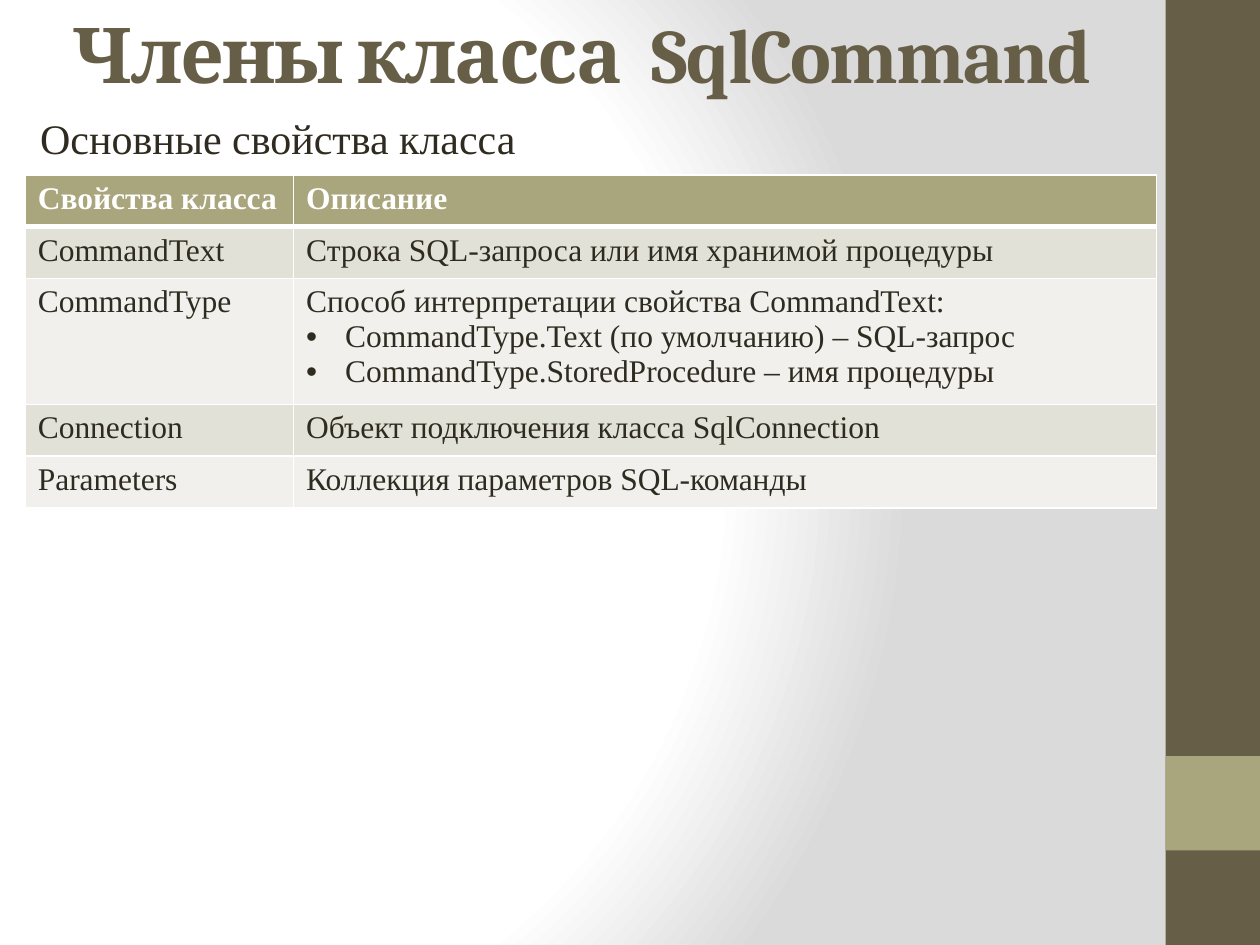
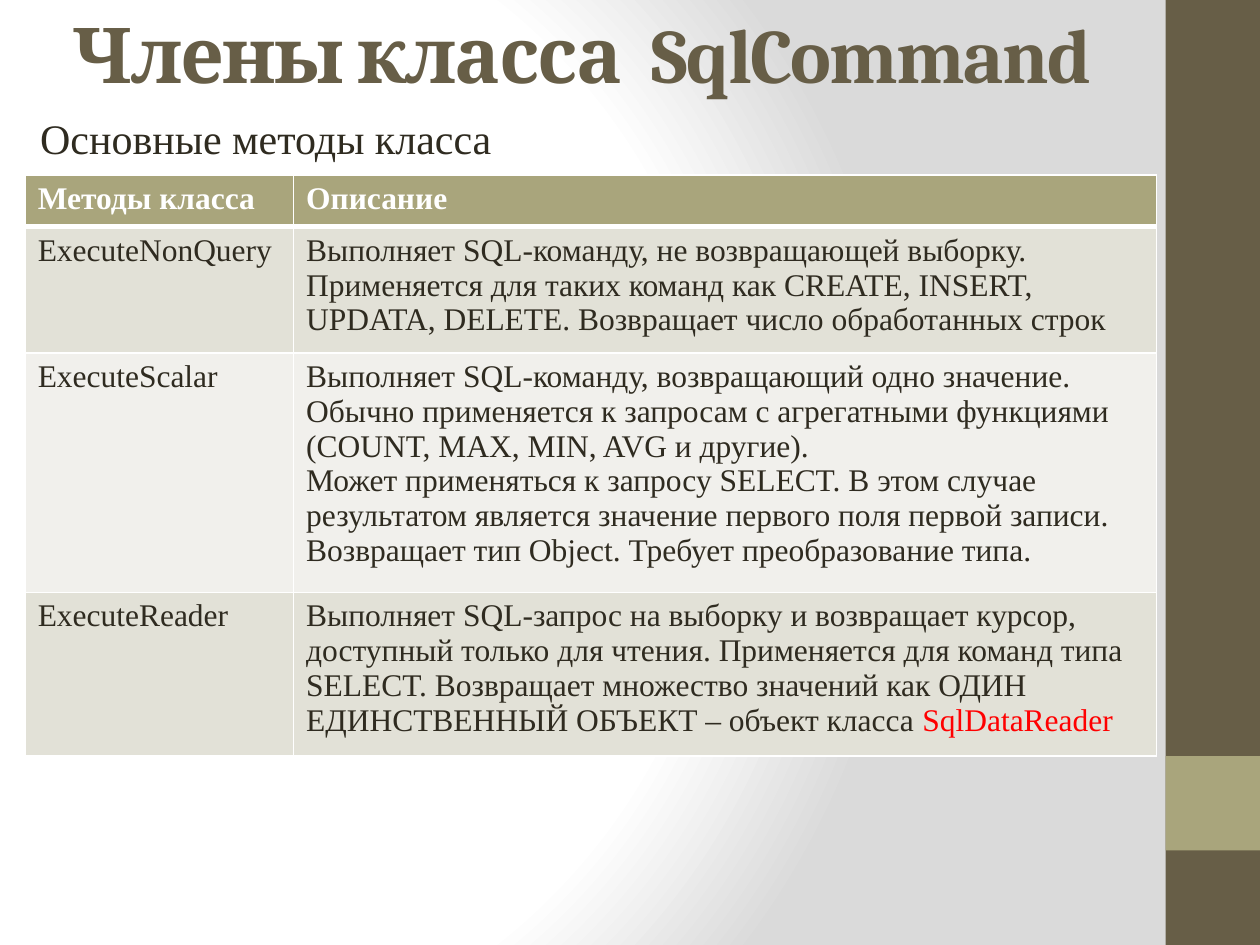
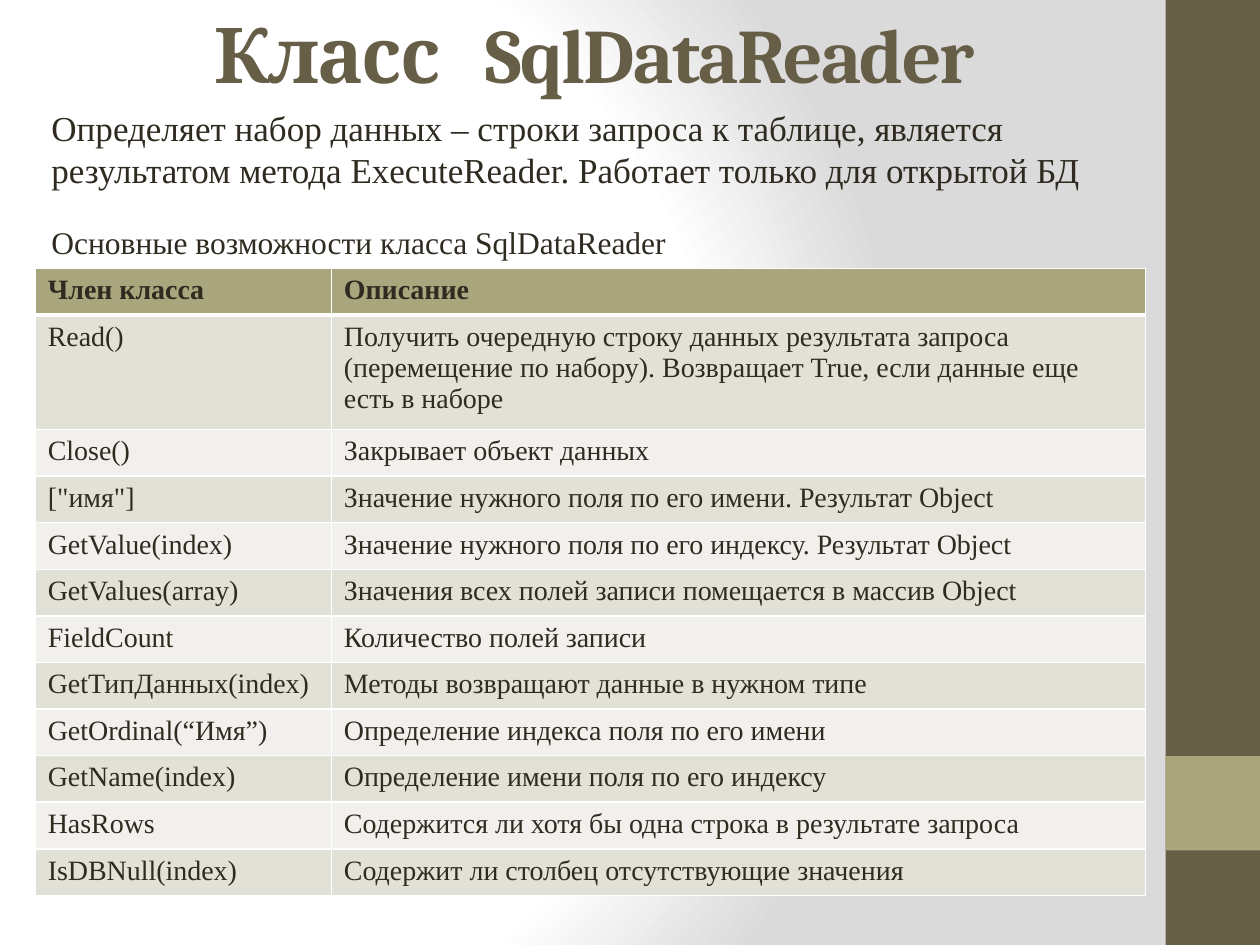
from lxml import etree
from pptx import Presentation
from pptx.dml.color import RGBColor
from pptx.enum.shapes import MSO_SHAPE
from pptx.enum.text import MSO_ANCHOR, MSO_AUTO_SIZE, PP_ALIGN
from pptx.oxml import parse_xml
from pptx.oxml.ns import nsdecls, qn
from pptx.util import Inches, Pt

COLORS = {
    "brown": "675E47", "olive": "A9A57C", "ink": "2F2B20", "white": "FFFFFF",
    "gray": "DADADA", "band_dark": "E2E1D7", "band_light": "F1F0EC", "red": "FF0000",
}
TITLE_FONT, BODY_FONT = "Cambria", "Times New Roman"
BULLET = "• "

# Content: a cell is a string or a list of paragraphs;
# a paragraph is a string or a (plain, highlighted) pair.
PROPERTIES = [
    ("Свойства класса", "Описание"),
    ("CommandText", "Строка SQL-запроса или имя хранимой процедуры"),
    ("CommandType", [
        "Способ интерпретации свойства CommandText:",
        "• CommandType.Text (по умолчанию) – SQL-запрос",
        "• CommandType.StoredProcedure – имя процедуры",
    ]),
    ("Connection", "Объект подключения класса SqlConnection"),
    ("Parameters", "Коллекция параметров SQL-команды"),
]
METHODS = [
    ("Методы класса", "Описание"),
    ("ExecuteNonQuery",
     "Выполняет SQL-команду, не возвращающей выборку. Применяется для таких команд "
     "как CREATE, INSERT, UPDATA, DELETE. Возвращает число обработанных строк"),
    ("ExecuteScalar", [
        "Выполняет SQL-команду, возвращающий одно значение. Обычно применяется к "
        "запросам с агрегатными функциями (COUNT, MAX, MIN, AVG и другие).",
        "Может применяться к запросу SELECT. В этом случае результатом является "
        "значение первого поля первой записи.",
        "Возвращает тип Object. Требует преобразование типа.",
    ]),
    ("ExecuteReader", [(
        "Выполняет SQL-запрос на выборку и возвращает курсор, доступный только для "
        "чтения. Применяется для команд типа SELECT. Возвращает множество значений "
        "как ОДИН ЕДИНСТВЕННЫЙ ОБЪЕКТ – объект класса ", "SqlDataReader")]),
]
READER_MEMBERS = [
    ("Член класса", "Описание"),
    ("Read()",
     "Получить очередную строку данных результата запроса (перемещение по набору). "
     "Возвращает True, если данные еще есть в наборе"),
    ("Close()", "Закрывает объект данных"),
    ('["имя"]', "Значение нужного поля по его имени. Результат Object"),
    ("GetValue(index)", "Значение нужного поля по его индексу. Результат Object"),
    ("GetValues(array)", "Значения всех полей записи помещается в массив Object"),
    ("FieldCount", "Количество полей записи"),
    ("GetТипДанных(index)", "Методы возвращают данные в нужном типе"),
    ("GetOrdinal(“Имя”)", "Определение индекса поля по его имени"),
    ("GetName(index)", "Определение имени поля по его индексу"),
    ("HasRows", "Содержится ли хотя бы одна строка в результате запроса"),
    ("IsDBNull(index)", "Содержит ли столбец отсутствующие значения"),
]

# Each text is (wording, size, box); boxes are left, top, width, height
COMMAND_TITLE = ("Члены класса  SqlCommand", (0.12, 0, 9, 0.84))
COMMAND_CAPTION_BOX = (0.22, 0.84, 7.98, 0.5)
COMMAND_TABLE = {"at": (0.2, 1.39), "cols": (2.13, 6.85), "row": 0.41,
                 "size": 18, "header": "white"}
SLIDES = [
    {"title": COMMAND_TITLE,
     "texts": [("Основные свойства класса", 24, COMMAND_CAPTION_BOX)],
     "table": {**COMMAND_TABLE, "rows": PROPERTIES, "tall": {2: 1}}},
    {"title": COMMAND_TITLE,
     "texts": [("Основные методы класса", 24, COMMAND_CAPTION_BOX)],
     "table": {**COMMAND_TABLE, "rows": METHODS, "tall": {1: 1, 2: 1.9, 3: 1.3}}},
    {"title": ("Класс   SqlDataReader", (0.35, 0, 8.74, 0.84)),
     "texts": [
         ("Определяет набор данных – строки запроса к таблице, является результатом "
          "метода ExecuteReader. Работает только для открытой БД",
          20, (0.31, 0.8, 8.79, 0.77)),
         ("Основные возможности класса SqlDataReader", 18, (0.31, 1.72, 7.98, 0.4))],
     "table": {"at": (0.28, 2.13), "cols": (2.35, 6.46), "row": 0.37, "size": 16,
               "header": "ink", "rows": READER_MEMBERS, "tall": {1: 0.91}}},
]


def rgb(name):
    return RGBColor.from_string(COLORS[name])


def style_run(run, size, color, font=BODY_FONT, bold=False):
    run.font.name, run.font.size, run.font.bold = font, Pt(size), bold
    run.font.color.rgb = rgb(color)


def set_background(master):
    stops = "".join(
        f'<a:gs pos="{percent * 1000}"><a:srgbClr val="{COLORS[name]}"/></a:gs>'
        for percent, name in ((0, "white"), (75, "white"), (100, "gray")))
    content = master.element.cSld
    for old in content.findall(qn("p:bg")):
        content.remove(old)
    content.insert(0, parse_xml(
        f'<p:bg {nsdecls("p", "a")}><p:bgPr><a:gradFill rotWithShape="1">'
        f'<a:gsLst>{stops}</a:gsLst><a:path path="circle">'
        '<a:fillToRect l="20000" t="50000" r="100000" b="50000"/></a:path>'
        '</a:gradFill><a:effectLst/></p:bgPr></p:bg>'))


def add_side_bands(slide, master):
    """Draw the bands, then move them behind the placeholders of the master."""
    bands = (("brown", 0, 7.5), ("olive", 6, 0.75))
    for position, (color, top, height) in enumerate(bands, start=2):
        band = slide.shapes.add_shape(MSO_SHAPE.RECTANGLE, Inches(9.25), Inches(top),
                                      Inches(0.75), Inches(height))
        band.shadow.inherit = False
        band.fill.solid()
        band.fill.fore_color.rgb = rgb(color)
        band.line.fill.background()
        master.shapes.element.insert(position, band.element)


def set_title(slide, wording, box):
    title = slide.shapes.title
    title.left, title.top, title.width, title.height = map(Inches, box)
    frame = title.text_frame
    frame.text = wording
    frame.auto_size, frame.vertical_anchor = MSO_AUTO_SIZE.NONE, MSO_ANCHOR.MIDDLE
    frame.paragraphs[0].alignment = PP_ALIGN.CENTER
    run = frame.paragraphs[0].runs[0]
    style_run(run, 44, "brown", TITLE_FONT, bold=True)
    run.font._element.set("spc", "-100")


def add_text(slide, wording, size, box):
    frame = slide.shapes.add_textbox(*map(Inches, box)).text_frame
    frame.word_wrap, frame.auto_size = True, MSO_AUTO_SIZE.SHAPE_TO_FIT_TEXT
    frame.text = wording
    style_run(frame.paragraphs[0].runs[0], size, "ink")


def set_bullet(paragraph):
    properties = paragraph._p.get_or_add_pPr()
    properties.set("marL", str(Inches(0.31)))
    properties.set("indent", str(-Inches(0.31)))
    etree.SubElement(properties, qn("a:buFont")).set("typeface", "Arial")
    etree.SubElement(properties, qn("a:buChar")).set("char", BULLET.strip())


def set_borders(cell, top=1, bottom=1):
    properties = cell._tc.get_or_add_tcPr()
    for side, width in (("L", 1), ("R", 1), ("T", top), ("B", bottom)):
        properties.append(parse_xml(
            f'<a:ln{side} {nsdecls("a")} w="{Pt(width)}"><a:solidFill>'
            f'<a:srgbClr val="{COLORS["white"]}"/></a:solidFill></a:ln{side}>'))


def fill_cell(cell, content, size, color, bold):
    paragraphs = [content] if isinstance(content, str) else content
    for index, wording in enumerate(paragraphs):
        frame = cell.text_frame
        paragraph = frame.add_paragraph() if index else frame.paragraphs[0]
        plain, highlighted = (wording, "") if isinstance(wording, str) else wording
        if plain.startswith(BULLET):
            set_bullet(paragraph)
        paragraph.text = plain.removeprefix(BULLET)
        style_run(paragraph.runs[0], size, color, bold=bold)
        if highlighted:
            run = paragraph.add_run()
            run.text = highlighted
            style_run(run, size, "red")


def add_member_table(slide, at, cols, row, size, header, rows, tall):
    heights = [tall.get(index, row) for index in range(len(rows))]
    table = slide.shapes.add_table(
        len(rows), len(cols), *map(Inches, (*at, sum(cols), sum(heights)))).table
    table.horz_banding = False
    for column, width in zip(table.columns, cols):
        column.width = Inches(width)
    for index, (contents, height) in enumerate(zip(rows, heights)):
        table.rows[index].height = Inches(height)
        is_header = index == 0
        band = "olive" if is_header else "band_dark" if index % 2 else "band_light"
        for cell, content in zip(table.rows[index].cells, contents):
            set_borders(cell, top=3 if index == 1 else 1, bottom=3 if is_header else 1)
            cell.fill.solid()
            cell.fill.fore_color.rgb = rgb(band)
            fill_cell(cell, content, size, header if is_header else "ink", is_header)


def main():
    deck = Presentation()
    deck.slide_width, deck.slide_height = Inches(10), Inches(7.5)
    master = deck.slide_master
    set_background(master)
    title_only = deck.slide_layouts.get_by_name("Title Only")
    for number, content in enumerate(SLIDES):
        slide = deck.slides.add_slide(title_only)
        if number == 0:
            add_side_bands(slide, master)
        set_title(slide, *content["title"])
        for text in content["texts"]:
            add_text(slide, *text)
        add_member_table(slide, **content["table"])
    deck.save("out.pptx")


if __name__ == "__main__":
    main()
